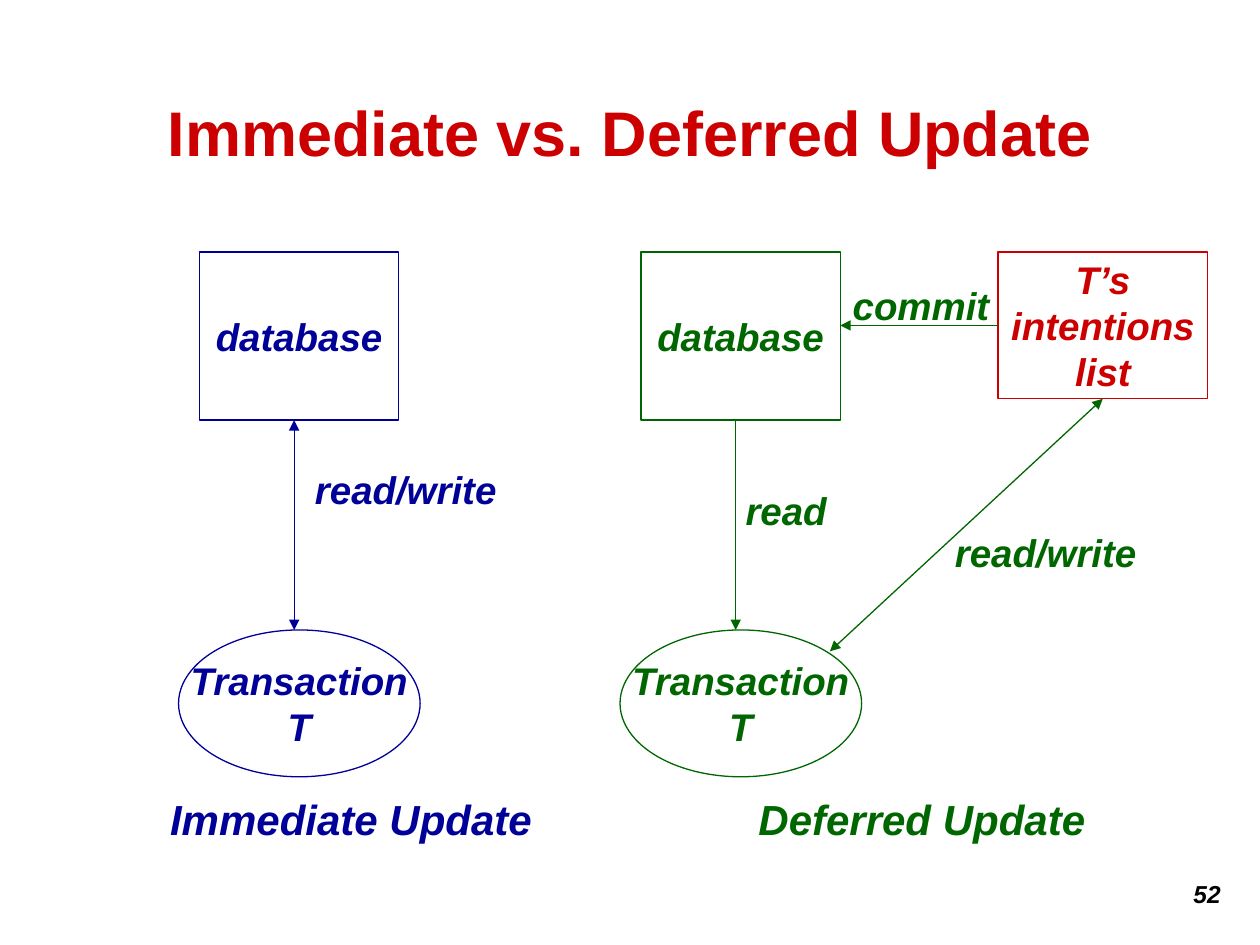
from pptx import Presentation
from pptx.util import Cm, Pt
from pptx.dml.color import RGBColor as Rgb
from pptx.enum.shapes import MSO_SHAPE as Form, MSO_CONNECTOR as Link
from pptx.enum.text import PP_ALIGN as Align, MSO_ANCHOR as Anchor, MSO_AUTO_SIZE as Auto
from pptx.oxml.ns import qn
from lxml.etree import SubElement as Sub

HUES = {"blue": "000099", "green": "006600", "red": "CC0000",
        "black": "000000", "white": "FFFFFF"}


def hue(name):
    return Rgb.from_string(HUES[name])


def write(frame, lines, size, tint, align, slant=True):
    for i, line in enumerate(lines):
        para = frame.paragraphs[0] if i == 0 else frame.add_paragraph()
        para.alignment = align
        run = para.add_run()
        run.text = line
        font = run.font
        font.name, font.size = "Arial", Pt(size)
        font.bold, font.italic = True, slant
        font.color.rgb = hue(tint)


def label(slide, box, text, size, tint, align=Align.LEFT, wrap=False, slant=True):
    frame = slide.shapes.add_textbox(*map(Cm, box)).text_frame
    frame.word_wrap = wrap
    frame.auto_size = Auto.NONE if wrap else Auto.SHAPE_TO_FIT_TEXT
    write(frame, [text], size, tint, align, slant)
    return frame


def node(slide, form, box, lines, tint):
    shape = slide.shapes.add_shape(form, *map(Cm, box))
    shape.shadow.inherit = False
    shape.fill.solid()
    shape.fill.fore_color.rgb = hue("white")
    shape.line.color.rgb = hue(tint)
    shape.line.width = Pt(0.75)
    frame = shape.text_frame
    frame.word_wrap = False
    frame.vertical_anchor = Anchor.MIDDLE
    write(frame, lines, 22, tint, Align.CENTER)


def arrow(slide, ends, tint, both=False):
    line = slide.shapes.add_connector(Link.STRAIGHT, *map(Cm, ends))
    line.line.color.rgb = hue(tint)
    line.line.width = Pt(0.75)
    props = line.line._get_or_add_ln()
    for tag in (["a:headEnd"] if both else []) + ["a:tailEnd"]:
        Sub(props, qn(tag), type="triangle")
    Sub(line._element.spPr, qn("a:effectLst"))


def pair(slide, x, y, tint, both):
    node(slide, Form.RECTANGLE, (x + 0.42, y, 4.02, 3.39), ["database"], tint)
    node(slide, Form.OVAL, (x, y + 7.62, 4.87, 2.96), ["Transaction", "T"], tint)
    arrow(slide, (x + 2.33, y + 3.39, x + 2.33, y + 7.62), tint, both)


def direct(slide, x, y):
    tint = "blue"
    pair(slide, x, y, tint, True)
    label(slide, (x + 2.5, y + 4.19, 4.19, 1.19), "read/write", 22, tint)
    label(slide, (x - 0.42, y + 10.8, 7.8, 1.27), "Immediate Update", 24, tint)


def defer(slide, x, y):
    tint = "green"
    pair(slide, x, y, tint, False)
    node(slide, Form.RECTANGLE, (x + 7.62, y, 4.23, 2.96),
         ["T’s", "intentions", "list"], "red")
    arrow(slide, (x + 4.23, y + 8.05, x + 9.73, y + 2.96), tint, True)
    arrow(slide, (x + 7.62, y + 1.48, x + 4.44, y + 1.48), tint)
    for dx, dy, wide, text in ((6.5, 5.46, 4.19, "read/write"),
                               (2.28, 4.62, 2.16, "read"),
                               (4.44, 0.48, 3.28, "commit")):
        label(slide, (x + dx, y + dy, wide, 1.19), text, 22, tint)
    label(slide, (x + 2.54, y + 10.8, 7.11, 1.27), "Deferred Update", 24, tint)


def title(slide, box):
    frame = label(slide, box, "Immediate vs. Deferred Update", 36, "red",
                  Align.CENTER, True, False)
    frame.vertical_anchor = Anchor.MIDDLE


def main():
    deck = Presentation()
    deck.slide_width, deck.slide_height = Cm(25.4), Cm(19.05)
    slide = deck.slides.add_slide(deck.slide_layouts[6])
    label(slide, (19.58, 17.6, 5.28, 1.27), "52", 14, "black", Align.RIGHT, True)
    title(slide, (1.9, 1.06, 21.6, 3.18))
    defer(slide, 12.5, 5.08)
    direct(slide, 3.6, 5.08)
    deck.save("out.pptx")


if __name__ == "__main__":
    main()
